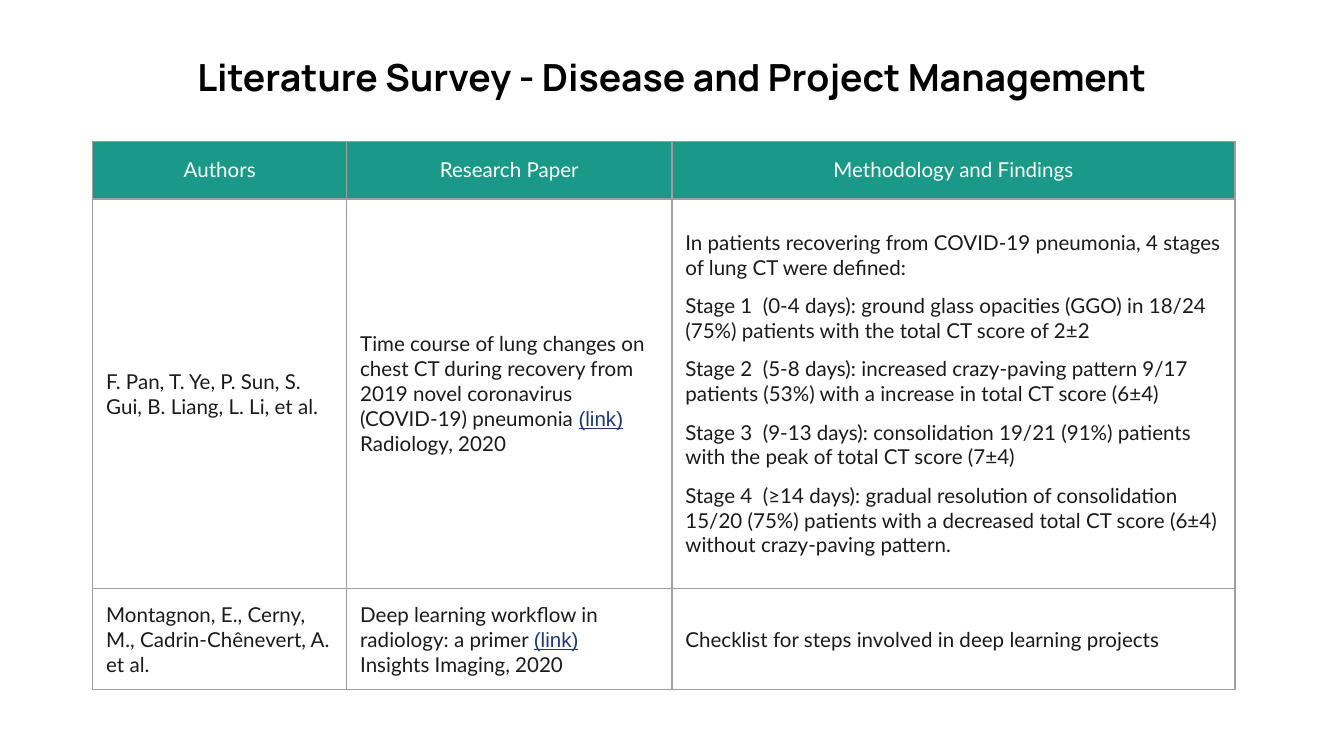
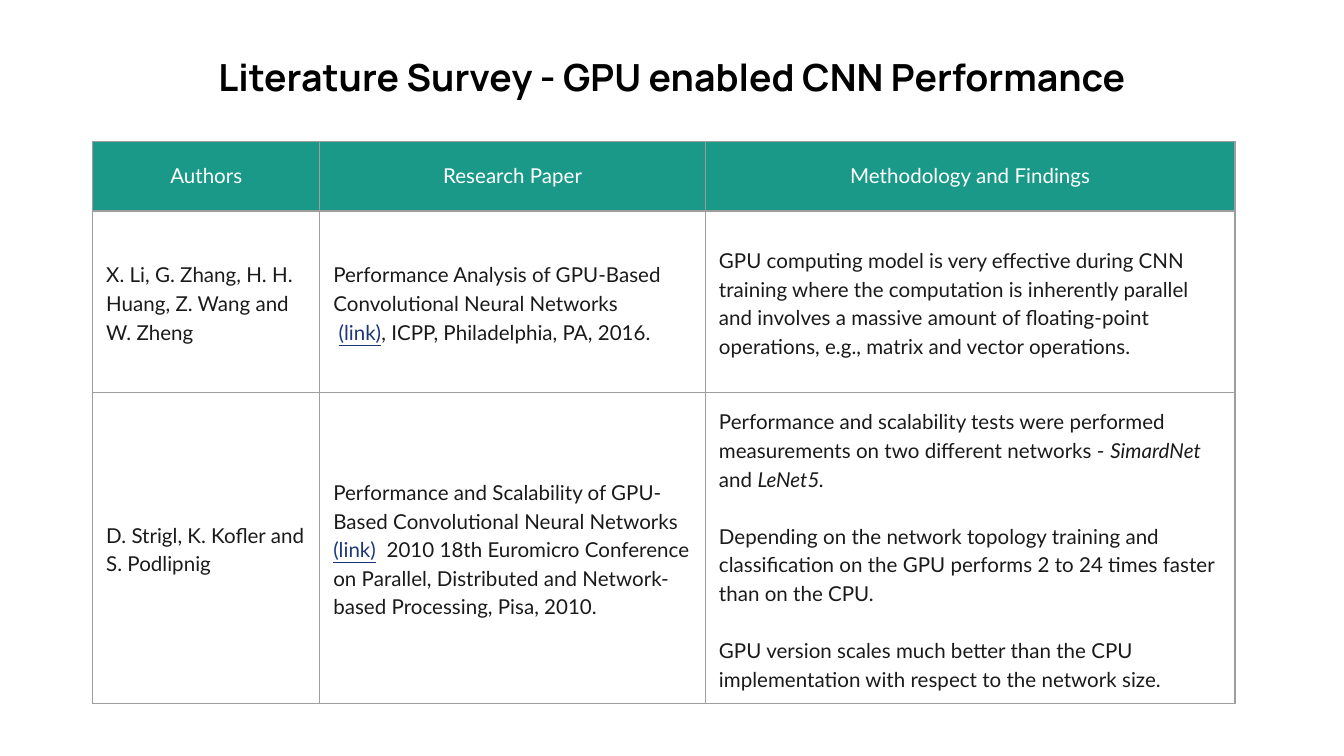
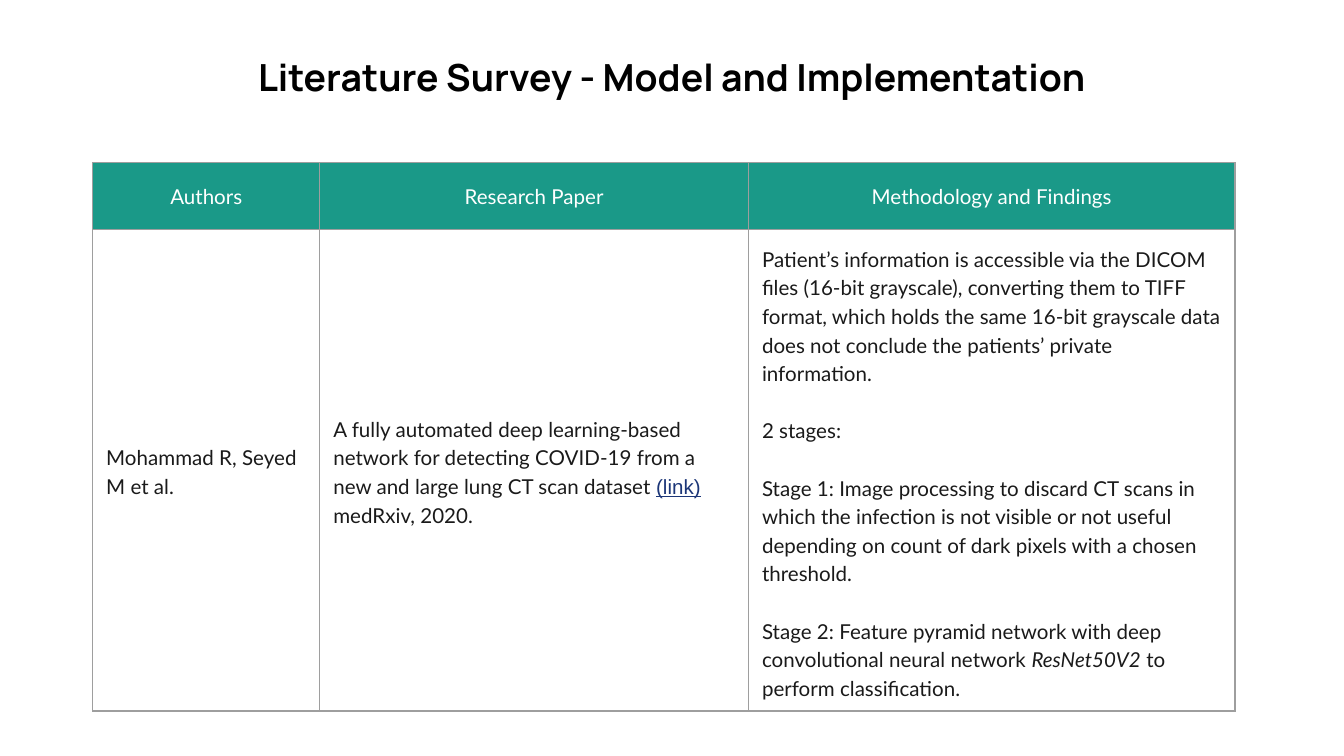
"""Build three literature survey slides, each with a title and a table."""
from lxml.etree import SubElement
from pptx import Presentation
from pptx.dml.color import RGBColor as RGB
from pptx.enum.text import MSO_ANCHOR as Anchor, PP_ALIGN as Align
from pptx.oxml.ns import qn
from pptx.util import Inches, Pt


class Theme:
    band = RGB.from_string("1A9988")
    border, border_width = "9E9E9E", Pt(0.75)
    text = dict(name="Lato", size=Pt(11), rgb="1A1A1A", bold=False)
    link = dict(text, rgb="1C3678", underline=True)
    formats = {
        "title": dict(name="Manrope", size=Pt(20), rgb="000000", bold=True),
        "head": dict(text, rgb="FFFFFF"),
        "text": text,
        "em": dict(text, italic=True),
        "link": link,
        "arial link": dict(link, name="Arial"),
    }
    title_box = [Inches(v) for v in (0.69, 0.3, 8.62, 0.58)]
    left = Inches(0.69)
    cell_margin = Inches(0.1)


class Deck:
    def __init__(self, theme):
        self.theme = theme
        self.prs = Presentation()
        self.prs.slide_width = Inches(10)
        self.prs.slide_height = Inches(10) * 9 // 16
        self.s = None

    def slide(self, title):
        self.s = self.prs.slides.add_slide(self.prs.slide_layouts[6])
        tf = self.s.shapes.add_textbox(*self.theme.title_box).text_frame
        tf.word_wrap = True
        tf.vertical_anchor = Anchor.MIDDLE
        tf.margin_left = tf.margin_right = Inches(0.07)
        tf.margin_top = tf.margin_bottom = Inches(0.04)
        self.text(tf, [title], "title", alignment=Align.CENTER, line_spacing=0.9)

    def text(self, tf, paragraphs, kind, gap=0, **para_format):
        for i, runs in enumerate(paragraphs):
            p = tf.paragraphs[0] if i == 0 else tf.add_paragraph()
            for key, value in para_format.items():
                setattr(p, key, value)
            if i and gap:
                p.space_before = Pt(gap)
            for run in [runs] if isinstance(runs, str) else runs:
                self.run(p, *([run, kind] if isinstance(run, str) else run))

    def run(self, p, text, kind):
        r = p.add_run()
        r.text = text
        for key, value in self.theme.formats[kind].items():
            if key == "rgb":
                r.font.color.rgb = RGB.from_string(value)
            else:
                setattr(r.font, key, value)

    def table(self, top, widths, heights, body, spacing, gap):
        rows = [[["Authors"], ["Research Paper"], ["Methodology and Findings"]], *body]
        frame = self.s.shapes.add_table(
            len(heights), len(widths), self.theme.left, Inches(top),
            Inches(sum(widths)), Inches(sum(heights)))
        tbl = frame.table
        tbl.first_row = tbl.horz_banding = False
        for col, width in zip(tbl.columns, widths):
            col.width = Inches(width)
        for i, (row, height, cells) in enumerate(zip(tbl.rows, heights, rows)):
            row.height = Inches(height)
            for j, (cell, paragraphs) in enumerate(zip(row.cells, cells)):
                self.cell(cell, i == 0)
                if i == 0:
                    self.text(cell.text_frame, paragraphs, "head", alignment=Align.CENTER)
                else:
                    self.text(cell.text_frame, paragraphs, "text",
                              gap if j == 2 else 0, line_spacing=spacing)

    def cell(self, cell, is_head):
        cell.vertical_anchor = Anchor.MIDDLE
        for side in ("left", "right", "top", "bottom"):
            setattr(cell, f"margin_{side}", self.theme.cell_margin)
        if is_head:
            cell.fill.solid()
            cell.fill.fore_color.rgb = self.theme.band
        else:
            cell.fill.background()
        tcPr = cell._tc.get_or_add_tcPr()
        for i, tag in enumerate(("a:lnL", "a:lnR", "a:lnT", "a:lnB")):
            ln = SubElement(tcPr, qn(tag), w=str(int(self.theme.border_width)))
            fill = SubElement(ln, qn("a:solidFill"))
            SubElement(fill, qn("a:srgbClr"), val=self.theme.border)
            tcPr.insert(i, ln)


LINK = ("(link)", "link")
ARIAL_LINK = ("(link)", "arial link")

SURVEYS = [
    dict(
        title="Literature Survey - Disease and Project Management",
        top=1.05, widths=[1.89, 2.42, 4.19], heights=[0.43, 2.9, 0.65],
        spacing=1.0, gap=7.2,
        body=[
            [["F. Pan, T. Ye, P. Sun, S. Gui, B. Liang, L. Li, et al."],
             [["Time course of lung changes on chest CT during recovery from "
               "2019 novel coronavirus (COVID-19) pneumonia ", ARIAL_LINK],
              "Radiology, 2020"],
             ["In patients recovering from COVID-19 pneumonia, 4 stages of lung CT "
              "were defined:",
              "Stage 1  (0-4 days): ground glass opacities (GGO) in 18/24 (75%) "
              "patients with the total CT score of 2±2",
              "Stage 2  (5-8 days): increased crazy-paving pattern 9/17 patients "
              "(53%) with a increase in total CT score (6±4)",
              "Stage 3  (9-13 days): consolidation 19/21 (91%) patients with the "
              "peak of total CT score (7±4)",
              "Stage 4  (≥14 days): gradual resolution of consolidation 15/20 (75%) "
              "patients with a decreased total CT score (6±4) without crazy-paving "
              "pattern."]],
            [["Montagnon, E., Cerny, M., Cadrin-Chênevert, A. et al."],
             [["Deep learning workflow in radiology: a primer ", ARIAL_LINK],
              "Insights Imaging, 2020"],
             ["Checklist for steps involved in deep learning projects"]],
        ]),
    dict(
        title="Literature Survey - GPU enabled CNN Performance",
        top=1.05, widths=[1.69, 2.87, 3.94], heights=[0.52, 1.35, 1.55],
        spacing=1.15, gap=15.4,
        body=[
            [["X. Li, G. Zhang, H. H. Huang, Z. Wang and W. Zheng"],
             ["Performance Analysis of GPU-Based Convolutional Neural Networks",
              [" ", LINK, ", ICPP, Philadelphia, PA, 2016."]],
             ["GPU computing model is very effective during CNN training where the "
              "computation is inherently parallel and involves a massive amount of "
              "floating-point operations, e.g., matrix and vector operations."]],
            [["D. Strigl, K. Kofler and S. Podlipnig"],
             ["Performance and Scalability of GPU-Based Convolutional Neural Networks",
              [LINK, "  2010 18th Euromicro Conference on Parallel, Distributed and "
               "Network-based Processing, Pisa, 2010."]],
             [["Performance and scalability tests were performed measurements on two "
               "different networks - ", ("SimardNet", "em"), " and ", ("LeNet5.", "em")],
              "Depending on the network topology training and classification on the "
              "GPU performs 2 to 24 times faster than on the CPU.",
              "GPU version scales much better than the CPU implementation with "
              "respect to the network size."]],
        ]),
    dict(
        title="Literature Survey - Model and Implementation",
        top=1.21, widths=[1.69, 3.19, 3.62], heights=[0.5, 0.65],
        spacing=1.15, gap=15.4,
        body=[
            [["Mohammad R, Seyed M et al."],
             [["A fully automated deep learning-based network for detecting COVID-19 "
               "from a new and large lung CT scan dataset ", ARIAL_LINK],
              "medRxiv, 2020."],
             ["Patient’s information is accessible via the DICOM files (16-bit "
              "grayscale), converting them to TIFF format, which holds the same 16-bit "
              "grayscale data does not conclude the patients’ private information.",
              "2 stages:",
              "Stage 1: Image processing to discard CT scans in which the infection is "
              "not visible or not useful depending on count of dark pixels with a "
              "chosen threshold.",
              ["Stage 2: Feature pyramid network with deep convolutional neural "
               "network ", ("ResNet50V2", "em"), " to perform classification."]]],
        ]),
]


def main():
    deck = Deck(Theme)
    for survey in SURVEYS:
        table = dict(survey)
        deck.slide(table.pop("title"))
        deck.table(**table)
    deck.prs.save("out.pptx")


if __name__ == "__main__":
    main()
